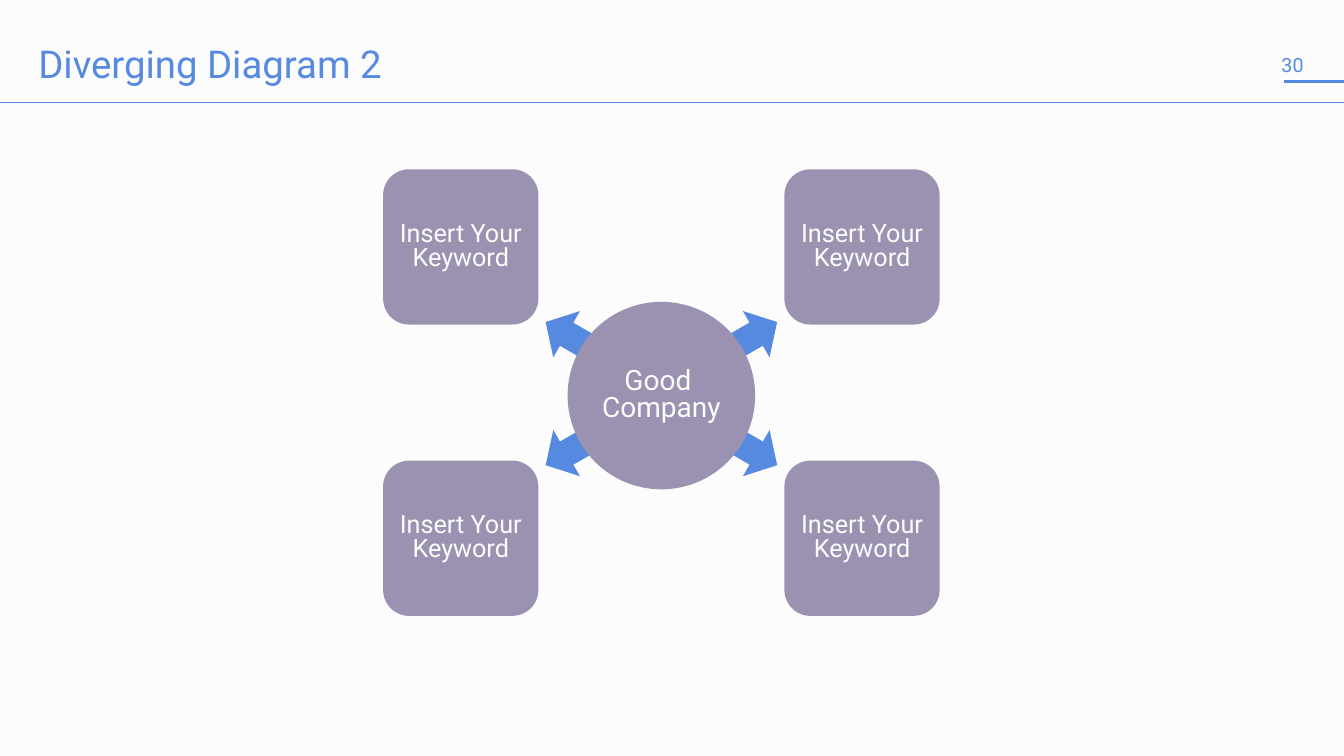
from pptx import Presentation
from pptx.dml.color import RGBColor
from pptx.enum.shapes import MSO_CONNECTOR, MSO_SHAPE
from pptx.enum.text import MSO_ANCHOR, MSO_AUTO_SIZE, PP_ALIGN
from pptx.oxml.ns import qn
from pptx.util import Inches, Pt
from lxml import etree

STRAIGHT = MSO_CONNECTOR.STRAIGHT
ARROW, CIRCLE, ROUNDED = MSO_SHAPE.RIGHT_ARROW, MSO_SHAPE.OVAL, MSO_SHAPE.ROUNDED_RECTANGLE
TOP, MIDDLE = MSO_ANCHOR.TOP, MSO_ANCHOR.MIDDLE
LEFT, CENTER = PP_ALIGN.LEFT, PP_ALIGN.CENTER
NO_AUTOFIT = MSO_AUTO_SIZE.NONE

FONT = "Roboto"
COLORS = {"paper": "FCFCFC", "blue": "568AE0", "mauve": "9A92B0"}
SLIDE_WIDTH, SLIDE_HEIGHT = 13.33, 7.5


def color(name):
    return RGBColor.from_string(COLORS[name])


def write_text(shape, lines, size, color_name, align, anchor, inset, spacing=1.0, wrap=True):
    frame = shape.text_frame
    frame.word_wrap = wrap
    frame.auto_size = NO_AUTOFIT
    frame.vertical_anchor = anchor
    frame.margin_left = frame.margin_right = Inches(inset)
    frame.margin_top = frame.margin_bottom = Inches(inset)
    for index, line in enumerate(lines):
        paragraph = frame.paragraphs[0] if index == 0 else frame.add_paragraph()
        paragraph.alignment = align
        paragraph.line_spacing = spacing
        paragraph.space_before = Pt(0)
        run = paragraph.add_run()
        run.text = line
        run.font.name = FONT
        run.font.size = Pt(size)
        run.font.color.rgb = color(color_name)


def add_rule(slide, left, top, right, weight):
    rule = slide.shapes.add_connector(
        STRAIGHT, Inches(left), Inches(top), Inches(right), Inches(top))
    rule.line.color.rgb = color("blue")
    rule.line.width = Pt(weight)
    etree.SubElement(rule._element.spPr, qn("a:effectLst"))


def add_solid(shapes, kind, center_x, center_y, width, height, color_name):
    shape = shapes.add_shape(
        kind, Inches(center_x - width / 2), Inches(center_y - height / 2),
        Inches(width), Inches(height))
    shape.shadow.inherit = False
    shape.fill.solid()
    shape.fill.fore_color.rgb = color(color_name)
    shape.line.fill.background()
    return shape


def add_node(slide, kind, center_x, center_y, side, label_size, lines, font_size, inset):
    """A filled shape grouped with the label at its centre."""
    group = slide.shapes.add_group_shape()
    shape = add_solid(group.shapes, kind, center_x, center_y, side, side, "mauve")
    if kind == ROUNDED:
        shape.adjustments[0] = 0.167
    width, height = label_size
    label = group.shapes.add_textbox(
        Inches(center_x - width / 2), Inches(center_y - height / 2),
        Inches(width), Inches(height))
    write_text(label, lines, font_size, "paper", CENTER, MIDDLE, inset, spacing=0.8)


def build_header(slide, left, top, width, height):
    # Title
    title = slide.shapes.title
    title.left, title.top = Inches(left + 0.33), Inches(top + 0.45)
    title.width, title.height = Inches(11.43), Inches(0.54)
    write_text(title, ["Diverging Diagram 2"], 27.4, "blue", LEFT, TOP, 0.05, spacing=0.75)

    # Page number and rules
    right = left + width
    number = slide.shapes.add_textbox(
        Inches(right - 0.69), Inches(top + 0.46), Inches(0.36), Inches(0.37))
    write_text(number, ["30"], 14, "blue", LEFT, MIDDLE, 0.07, wrap=False)
    add_rule(slide, right - 0.6, top + 0.81, right, 2)
    add_rule(slide, left, top + height, right, 0.5)


def build_diagram(slide, left, top, width, height):
    center_x, center_y = left + width / 2, top + height / 2
    side = 1.54
    corners = [(-1, -1, 210), (1, -1, 330), (-1, 1, 150), (1, 1, 30)]

    # Arrows, partly behind the circle
    for across, down, angle in corners:
        arrow = add_solid(slide.shapes, ARROW, center_x + across * 0.94,
                          center_y + 0.01 + down * 0.59, 0.48, 0.53, "blue")
        arrow.rotation = angle

    # Central circle
    add_node(slide, CIRCLE, center_x, center_y + 0.03, 1.86, (1.31, 0.54),
             ["Good ", "Company"], 20, 0)

    # Keyword boxes in the corners
    for across, down, _ in corners:
        add_node(slide, ROUNDED, center_x + across * (width - side) / 2,
                 center_y + down * (height - side) / 2, side, (1.39, 0.59),
                 ["Insert Your Keyword"], 18, 0.05)


def main():
    presentation = Presentation()
    presentation.slide_width = Inches(SLIDE_WIDTH)
    presentation.slide_height = Inches(SLIDE_HEIGHT)
    slide = presentation.slides.add_slide(presentation.slide_layouts[5])
    slide.background.fill.solid()
    slide.background.fill.fore_color.rgb = color("paper")
    build_header(slide, 0, 0, SLIDE_WIDTH, 1.02)
    build_diagram(slide, 3.8, 1.68, 5.52, 4.43)
    presentation.save("out.pptx")


if __name__ == "__main__":
    main()
